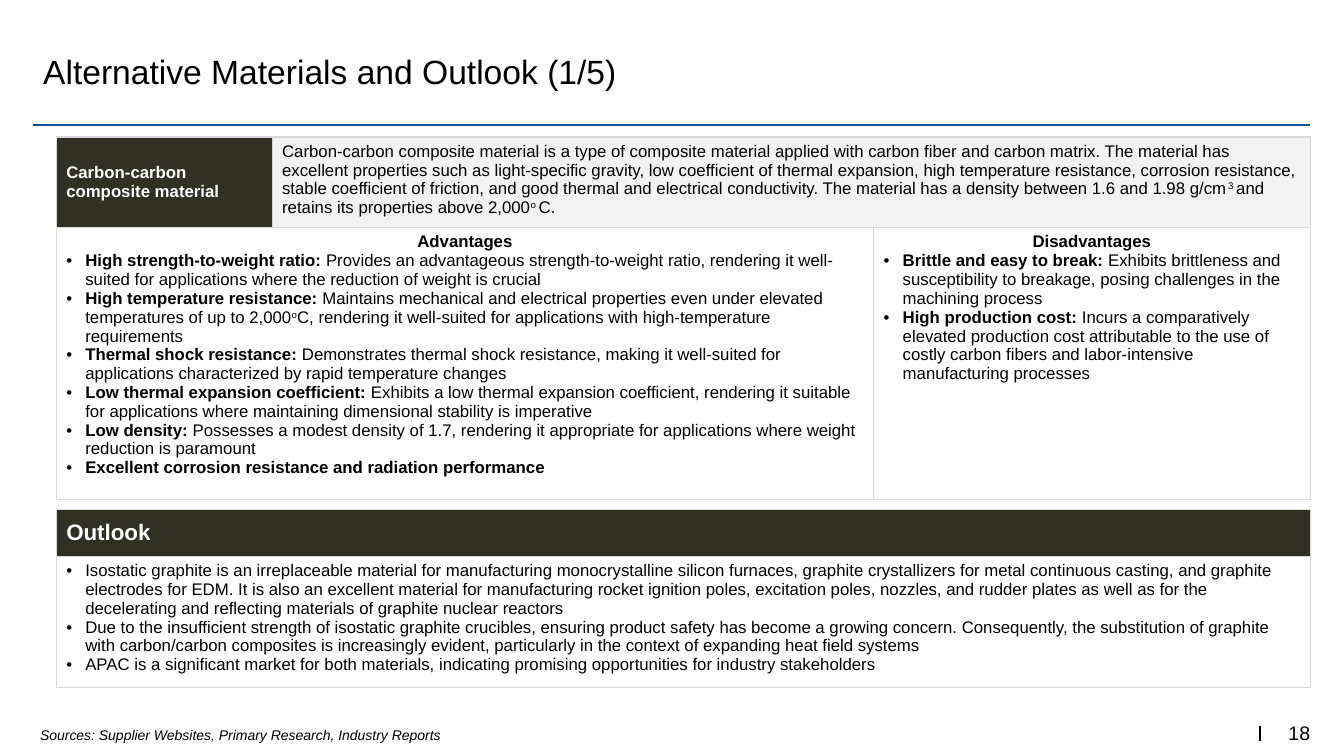
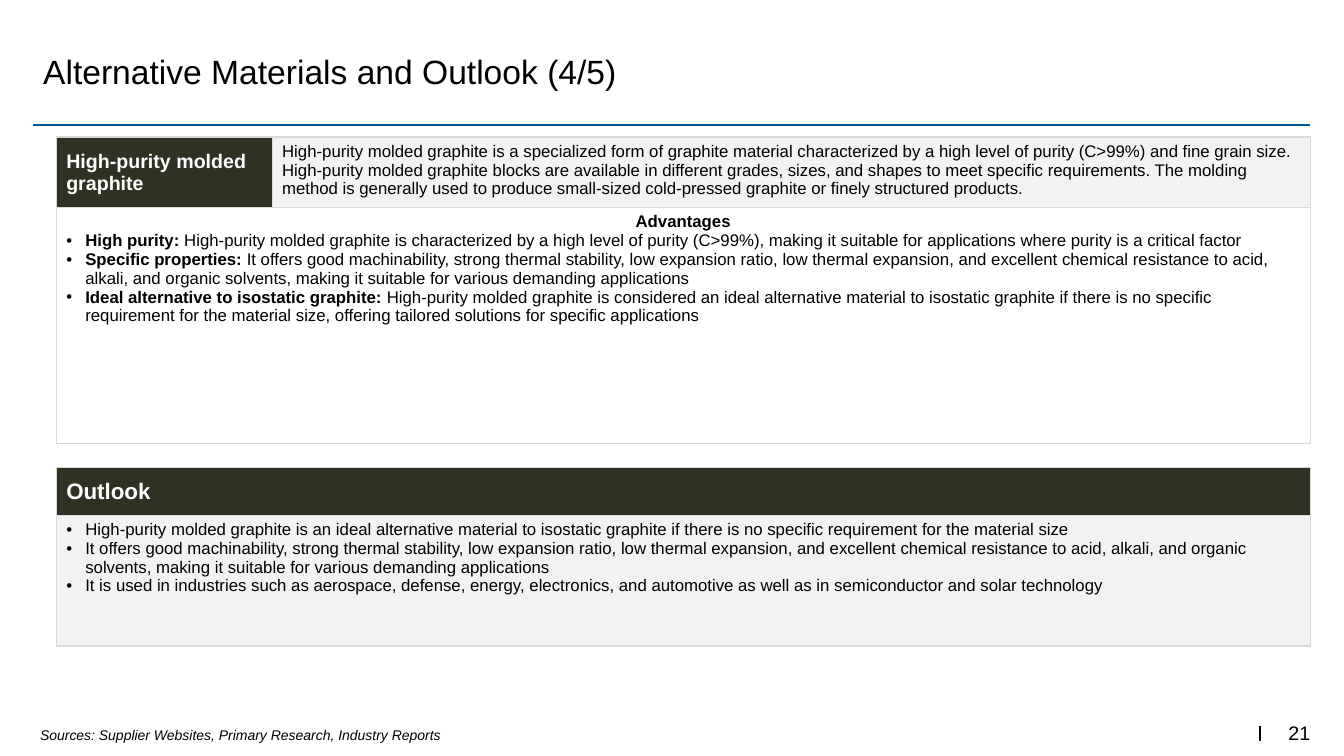
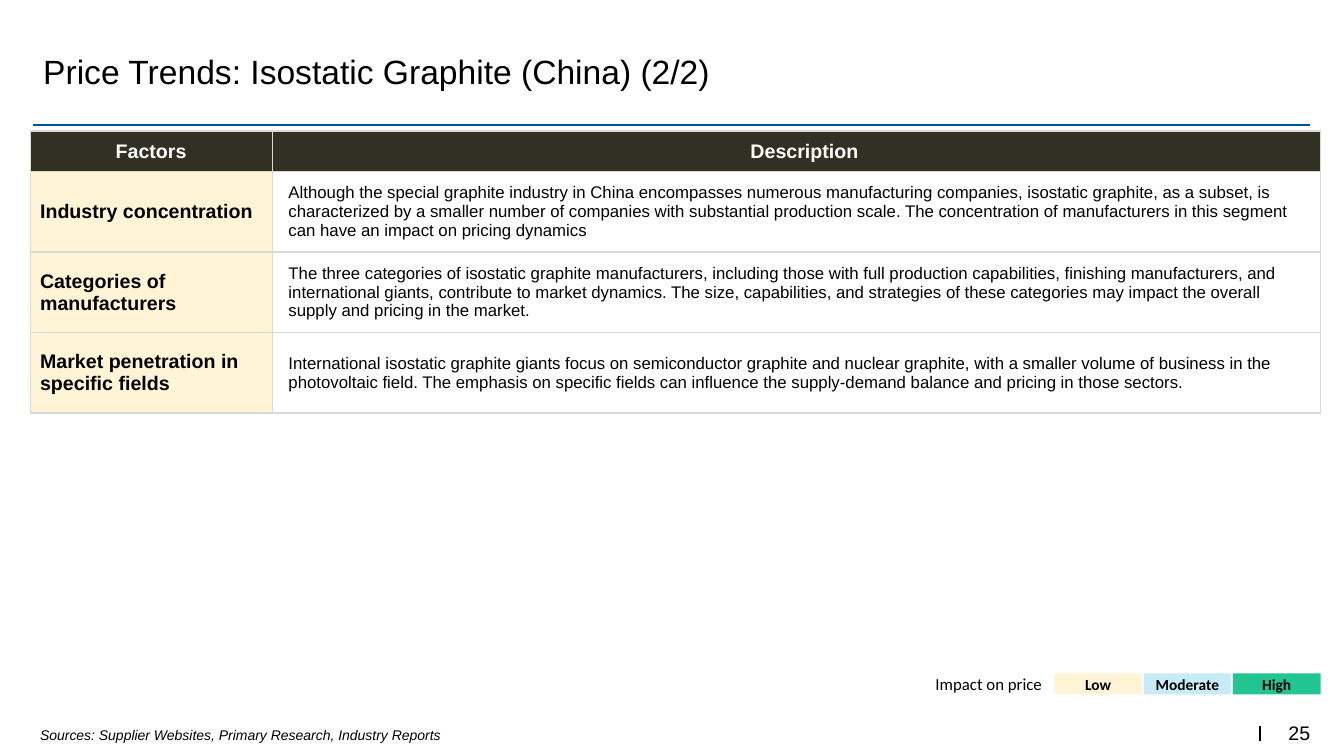
"""Build three slides on graphite alternatives and price trends."""
from dataclasses import dataclass
from typing import Optional

from lxml.etree import SubElement
from pptx import Presentation
from pptx.dml.color import RGBColor
from pptx.enum.shapes import MSO_CONNECTOR as Connector, MSO_SHAPE as Shape
from pptx.enum.text import MSO_ANCHOR as Anchor, PP_ALIGN as Align
from pptx.oxml.ns import qn
from pptx.util import Cm, Pt

COLORS = {
    "black": "000000",
    "white": "FFFFFF",
    "dark": "303123",
    "grey": "F2F2F2",
    "border": "D9D9D9",
    "rule": "005293",
    "low": "FFF5D6",
    "moderate": "C8EBF8",
    "high": "22C492",
}
FONTS = {
    "title": {"name": "Arial", "size": Pt(24)},
    "number": {"name": "Arial", "size": Pt(14)},
    "source": {"name": "Arial", "size": Pt(10), "italic": True},
    "body": {"name": "Arial", "size": Pt(12), "bold": False},
    "small_head": {"name": "Arial", "size": Pt(12), "bold": True},
    "head": {"name": "Arial", "size": Pt(14), "bold": True},
    "large_head": {"name": "Arial", "size": Pt(16), "bold": True},
    "legend": {"name": "Calibri", "size": Pt(12)},
    "legend_key": {"name": "Calibri", "size": Pt(11), "bold": True},
}
NO_MARGINS = {"margin_left": 0, "margin_right": 0, "margin_top": 0, "margin_bottom": 0}
BULLET_INDENT = Cm(0.48)
PANEL_LEFT = 1.42
PANEL_TOP = 3.45
PANEL_WIDTH = 31.6
NAME_WIDTH = 5.44
DISADVANTAGES_WIDTH = 11


@dataclass(frozen=True)
class Line:
    """One paragraph: an optional bold lead, then text with ^superscript^ parts."""
    text: str = ""
    lead: str = ""
    bullet: bool = False
    align: Align = Align.LEFT


@dataclass(frozen=True)
class Cell:
    """The text and look of one table cell."""
    lines: list[Line]
    fill: str = "white"
    font: str = "body"
    color: str = "black"
    anchor: Anchor = Anchor.TOP
    margin_left: float = 0.25


@dataclass(frozen=True)
class Box:
    """A rectangle in centimetres."""
    left: float
    top: float
    width: float
    height: float

    def lengths(self) -> list[Cm]:
        """Return the four lengths in the order python-pptx takes them."""
        return [Cm(value) for value in (self.left, self.top, self.width, self.height)]


def rgb(name: str) -> RGBColor:
    """Look up a palette colour."""
    return RGBColor.from_string(COLORS[name])


def set_attributes(target, values: dict) -> None:
    """Set each named value on the target."""
    for name, value in values.items():
        setattr(target, name, value)


def add_run(paragraph, text: str, font: str, color: str, bold: bool = False,
            superscript: bool = False) -> None:
    """Add one formatted run, if there is text."""
    if not text:
        return
    run = paragraph.add_run()
    run.text = text
    set_attributes(run.font, FONTS[font])
    run.font.color.rgb = rgb(color)
    if bold:
        run.font.bold = True
    if superscript:
        run._r.get_or_add_rPr().set("baseline", "30000")


def add_bullet(paragraph) -> None:
    """Give a paragraph a hanging round bullet."""
    properties = paragraph._p.get_or_add_pPr()
    properties.set("marL", str(BULLET_INDENT))
    properties.set("indent", str(-BULLET_INDENT))
    SubElement(properties, qn("a:buFont"), typeface="Arial")
    SubElement(properties, qn("a:buChar"), char="•")


def write_lines(frame, lines: list[Line], font: str, color: str = "black") -> None:
    """Fill a text frame with paragraphs."""
    for index, line in enumerate(lines):
        paragraph = frame.add_paragraph() if index else frame.paragraphs[0]
        paragraph.alignment = line.align
        if line.bullet:
            add_bullet(paragraph)
        add_run(paragraph, line.lead, font, color, bold=True)
        for part, text in enumerate(line.text.split("^")):
            add_run(paragraph, text, font, color, superscript=part % 2 == 1)


def add_text(slide, box: Box, text: str, font: str, align: Align = Align.LEFT,
             anchor: Anchor = Anchor.TOP, margins: Optional[dict] = None) -> None:
    """Add a wrapping text box."""
    frame = slide.shapes.add_textbox(*box.lengths()).text_frame
    set_attributes(frame, {"word_wrap": True, "vertical_anchor": anchor, **(margins or {})})
    write_lines(frame, [Line(text, align=align)], font)


def add_rule(slide, start: tuple[float, float], end: tuple[float, float],
             color: str, width: float) -> None:
    """Add a straight line without a shadow."""
    points = [Cm(value) for value in (*start, *end)]
    connector = slide.shapes.add_connector(Connector.STRAIGHT, *points)
    connector.line.color.rgb = rgb(color)
    connector.line.width = Pt(width)
    SubElement(connector._element.spPr, qn("a:effectLst"))


def add_borders(cell) -> None:
    """Draw a thin line on all four sides of a cell."""
    properties = cell._tc.get_or_add_tcPr()
    for side in ("lnL", "lnR", "lnT", "lnB"):
        border = SubElement(properties, qn(f"a:{side}"), w=str(Pt(1)))
        fill = SubElement(border, qn("a:solidFill"))
        SubElement(fill, qn("a:srgbClr"), val=COLORS["border"])


def add_table(slide, left: float, top: float, widths: list[float], heights: list[float],
              rows: list[list[Optional[Cell]]]) -> None:
    """Add a table, in which None extends the cell to its left."""
    box = Box(left, top, sum(widths), sum(heights))
    table = slide.shapes.add_table(len(heights), len(widths), *box.lengths()).table
    set_attributes(table, {"first_row": False, "horz_banding": False})
    for column, width in zip(table.columns, widths):
        column.width = Cm(width)
    for row, height in zip(table.rows, heights):
        row.height = Cm(height)
    for row_index, row in enumerate(rows):
        for column_index, content in enumerate(row):
            cell = table.cell(row_index, column_index)
            add_borders(cell)
            if content is None:
                table.cell(row_index, column_index - 1).merge(cell)
                continue
            cell.fill.solid()
            cell.fill.fore_color.rgb = rgb(content.fill)
            set_attributes(cell, {"vertical_anchor": content.anchor,
                                  "margin_left": Cm(content.margin_left)})
            write_lines(cell.text_frame, content.lines, content.font, content.color)


def dark_cell(text: str, font: str, align: Align = Align.LEFT, margin_left: float = 0.25) -> Cell:
    """Return a dark heading cell."""
    return Cell([Line(text, align=align)], "dark", font, "white", Anchor.MIDDLE, margin_left)


def bullets(*items: tuple[str, str]) -> list[Line]:
    """Turn pairs of lead and text into bulleted lines."""
    return [Line(text, lead, bullet=True) for lead, text in items]


def points_cell(heading: str, *items: tuple[str, str]) -> Cell:
    """Return a cell with a centred heading above bullets."""
    return Cell([Line(lead=heading, align=Align.CENTER), *bullets(*items)])


def add_material(slide, name: str, name_font: str, summary: str, advantages: Cell,
                 disadvantages: Optional[Cell] = None) -> None:
    """Add the table that describes one material."""
    summary_width = PANEL_WIDTH - NAME_WIDTH
    widths = [NAME_WIDTH, summary_width]
    first = [dark_cell(name, name_font), Cell([Line(summary)], "grey")]
    second = [advantages, None]
    if disadvantages:
        widths = [NAME_WIDTH, summary_width - DISADVANTAGES_WIDTH, DISADVANTAGES_WIDTH]
        first.append(None)
        second.append(disadvantages)
    add_table(slide, PANEL_LEFT, PANEL_TOP, widths, [1.68, 5.94], [first, second])


def add_outlook(slide, top: float, fill: str, *texts: str) -> None:
    """Add the outlook panel."""
    lines = bullets(*(("", text) for text in texts))
    add_table(slide, PANEL_LEFT, top, [PANEL_WIDTH], [1.19, 3.3],
              [[dark_cell("Outlook", "large_head")], [Cell(lines, fill)]])


def add_factors(slide, factors: list[tuple[str, str]]) -> None:
    """Add the table of price factors."""
    rows = [[dark_cell("Factors", "head", Align.CENTER),
             dark_cell("Description", "head", Align.CENTER, 0.66)]]
    for name, description in factors:
        rows.append([Cell([Line(name)], "low", "head", anchor=Anchor.MIDDLE),
                     Cell([Line(description)], anchor=Anchor.MIDDLE, margin_left=0.41)])
    add_table(slide, 0.76, 3.3, [6.1, 26.42], [1.02] + [2.03] * len(factors), rows)


def add_legend(slide) -> None:
    """Add the colour key for the impact on price."""
    add_text(slide, Box(19.48, 16.97, 6.78, 0.51), "Impact on price", "legend", Align.RIGHT,
             margins=NO_MARGINS)
    for index, level in enumerate(("Low", "Moderate", "High")):
        box = Box(26.57 + index * 2.25, 16.97, 2.21, 0.53)
        shape = slide.shapes.add_shape(Shape.RECTANGLE, *box.lengths())
        shape.shadow.inherit = False
        shape.fill.solid()
        shape.fill.fore_color.rgb = rgb(level.lower())
        shape.line.fill.background()
        set_attributes(shape.text_frame, {"vertical_anchor": Anchor.MIDDLE, **NO_MARGINS})
        write_lines(shape.text_frame, [Line(level, align=Align.CENTER)], "legend_key")


def add_slide(presentation, title: str, number: int):
    """Add a slide with the shared title, rules, source note and number."""
    slide = presentation.slides.add_slide(presentation.slide_layouts[6])
    add_rule(slide, (0.84, 3.15), (33.02, 3.15), "rule", 0.75)
    add_rule(slide, (31.75, 18.29), (31.75, 18.67), "black", 1)
    add_text(slide, Box(0.84, 0.51, 32.18, 2.54), title, "title", anchor=Anchor.MIDDLE)
    add_text(slide, Box(31.29, 18.08, 1.73, 0.74), str(number), "number", Align.RIGHT,
             Anchor.MIDDLE, NO_MARGINS)
    add_text(slide, Box(0.76, 18.19, 11.56, 0.69),
             "Sources: Supplier Websites, Primary Research, Industry Reports", "source")
    return slide


def main() -> None:
    """Build and save the presentation."""
    presentation = Presentation()
    set_attributes(presentation, {"slide_width": Cm(33.87), "slide_height": Cm(19.05)})

    slide = add_slide(presentation, "Alternative Materials and Outlook (1/5)", 18)
    add_outlook(
        slide, 12.83, "white",
        "Isostatic graphite is an irreplaceable material for manufacturing monocrystalline silicon "
        "furnaces, graphite crystallizers for metal continuous casting, and graphite electrodes for "
        "EDM. It is also an excellent material for manufacturing rocket ignition poles, excitation "
        "poles, nozzles, and rudder plates as well as for the decelerating and reflecting materials "
        "of graphite nuclear reactors",
        "Due to the insufficient strength of isostatic graphite crucibles, ensuring product safety "
        "has become a growing concern. Consequently, the substitution of graphite with "
        "carbon/carbon composites is increasingly evident, particularly in the context of expanding "
        "heat field systems",
        "APAC is a significant market for both materials, indicating promising opportunities for "
        "industry stakeholders",
    )
    add_material(
        slide, "Carbon-carbon composite material", "small_head",
        "Carbon-carbon composite material is a type of composite material applied with carbon fiber "
        "and carbon matrix. The material has excellent properties such as light-specific gravity, "
        "low coefficient of thermal expansion, high temperature resistance, corrosion resistance, "
        "stable coefficient of friction, and good thermal and electrical conductivity. The material "
        "has a density between 1.6 and 1.98 g/cm^3 ^and retains its properties above 2,000^o ^C.",
        points_cell(
            "Advantages",
            ("High strength-to-weight ratio: ",
             "Provides an advantageous strength-to-weight ratio, rendering it well-suited for "
             "applications where the reduction of weight is crucial"),
            ("High temperature resistance: ",
             "Maintains mechanical and electrical properties even under elevated temperatures of up "
             "to 2,000^o^C, rendering it well-suited for applications with high-temperature "
             "requirements"),
            ("Thermal shock resistance: ",
             "Demonstrates thermal shock resistance, making it well-suited for applications "
             "characterized by rapid temperature changes"),
            ("Low thermal expansion coefficient: ",
             "Exhibits a low thermal expansion coefficient, rendering it suitable for applications "
             "where maintaining dimensional stability is imperative"),
            ("Low density: ",
             "Possesses a modest density of 1.7, rendering it appropriate for applications where "
             "weight reduction is paramount"),
            ("Excellent corrosion resistance and radiation performance", ""),
        ),
        points_cell(
            "Disadvantages",
            ("Brittle and easy to break: ",
             "Exhibits brittleness and susceptibility to breakage, posing challenges in the "
             "machining process"),
            ("High production cost: ",
             "Incurs a comparatively elevated production cost attributable to the use of costly "
             "carbon fibers and labor-intensive manufacturing processes"),
        ),
    )

    slide = add_slide(presentation, "Alternative Materials and Outlook (4/5)", 21)
    machinability = (
        "It offers good machinability, strong thermal stability, low expansion ratio, low thermal "
        "expansion, and excellent chemical resistance to acid, alkali, and organic solvents, making "
        "it suitable for various demanding applications")
    add_material(
        slide, "High-purity molded graphite", "head",
        "High-purity molded graphite is a specialized form of graphite material characterized by a "
        "high level of purity (C>99%) and fine grain size. High-purity molded graphite blocks are "
        "available in different grades, sizes, and shapes to meet specific requirements. The "
        "molding method is generally used to produce small-sized cold-pressed graphite or finely "
        "structured products.",
        points_cell(
            "Advantages",
            ("High purity: ",
             "High-purity molded graphite is characterized by a high level of purity (C>99%), making "
             "it suitable for applications where purity is a critical factor"),
            ("Specific properties: ", machinability),
            ("Ideal alternative to isostatic graphite: ",
             "High-purity molded graphite is considered an ideal alternative material to isostatic "
             "graphite if there is no specific requirement for the material size, offering tailored "
             "solutions for specific applications"),
        ),
    )
    add_outlook(
        slide, 11.79, "grey",
        "High-purity molded graphite is an ideal alternative material to isostatic graphite if "
        "there is no specific requirement for the material size",
        machinability,
        "It is used in industries such as aerospace, defense, energy, electronics, and automotive "
        "as well as in semiconductor and solar technology",
    )

    slide = add_slide(presentation, "Price Trends: Isostatic Graphite (China) (2/2)", 25)
    add_factors(slide, [
        ("Industry concentration",
         "Although the special graphite industry in China encompasses numerous manufacturing "
         "companies, isostatic graphite, as a subset, is characterized by a smaller number of "
         "companies with substantial production scale. The concentration of manufacturers in this "
         "segment can have an impact on pricing dynamics"),
        ("Categories of manufacturers",
         "The three categories of isostatic graphite manufacturers, including those with full "
         "production capabilities, finishing manufacturers, and international giants, contribute to "
         "market dynamics. The size, capabilities, and strategies of these categories may impact "
         "the overall supply and pricing in the market."),
        ("Market penetration in specific fields",
         "International isostatic graphite giants focus on semiconductor graphite and nuclear "
         "graphite, with a smaller volume of business in the photovoltaic field. The emphasis on "
         "specific fields can influence the supply-demand balance and pricing in those sectors."),
    ])
    add_legend(slide)

    presentation.save("out.pptx")


if __name__ == "__main__":
    main()
